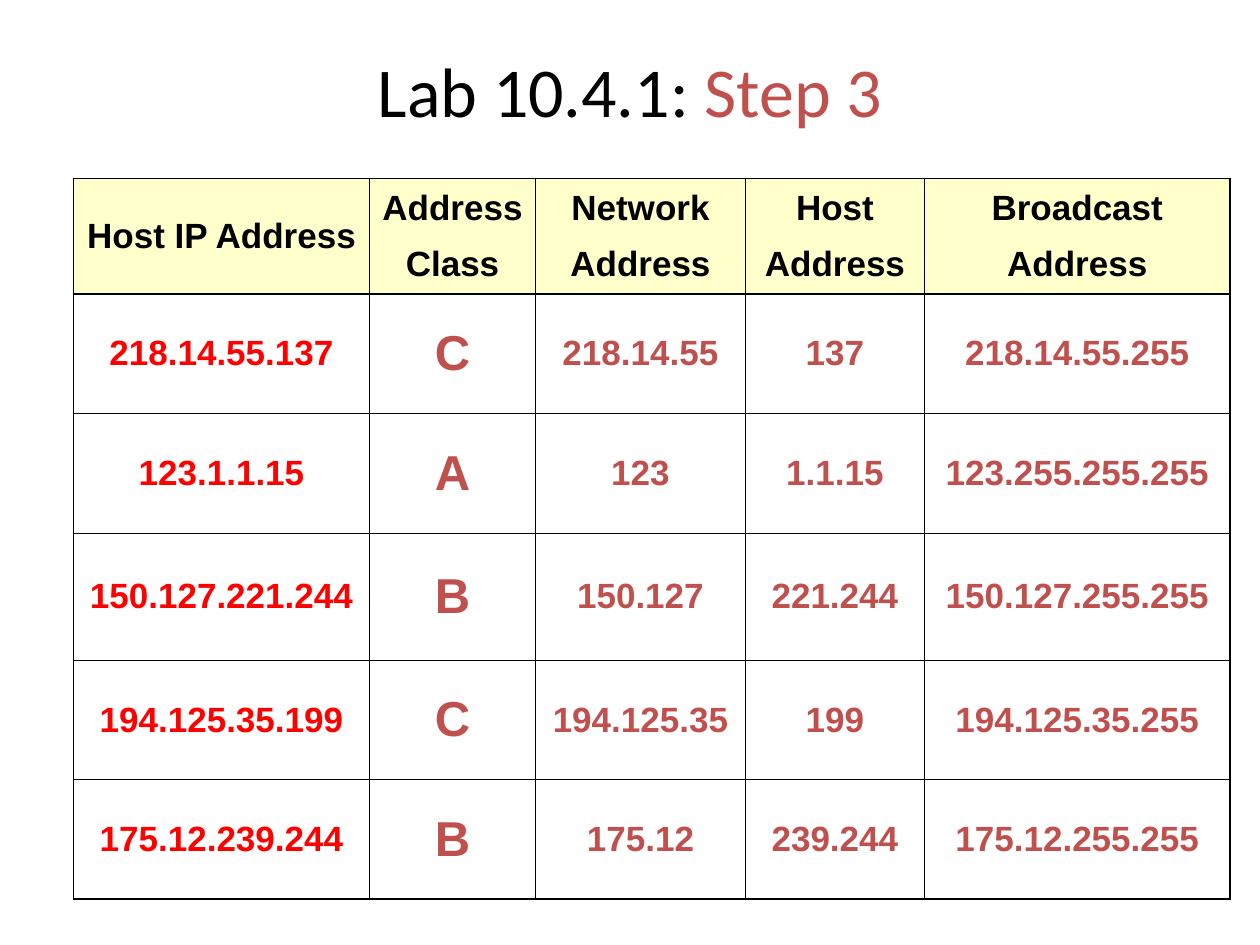
from dataclasses import dataclass

from lxml import etree
from pptx import Presentation
from pptx import util as u
from pptx.dml.color import RGBColor
from pptx.enum import text
from pptx.oxml import ns


@dataclass(frozen=True)
class Theme:
    black: str = "000000"
    white: str = "FFFFFF"
    header: str = "FFFFCC"
    given: str = "FF0000"
    answer: str = "C0504D"
    title_size: int = 40
    body_size: int = 20
    class_size: int = 28
    thin: float = 0.45
    thick: float = 1.08


theme = Theme()


def style_run(run, font_name, size, color, bold):
    run.font.name = font_name
    run.font.size = u.Pt(size)
    run.font.bold = bold
    run.font.color.rgb = RGBColor.from_string(color)


def add_border(cell, side, width):
    """Draw one cell edge; side is L, R, T or B, added in that order before the fill."""
    properties = cell._tc.get_or_add_tcPr()
    line = etree.SubElement(properties, ns.qn(f"a:ln{side}"), w=str(u.Pt(width)))
    fill = etree.SubElement(line, ns.qn("a:solidFill"))
    etree.SubElement(fill, ns.qn("a:srgbClr"), val=theme.black)


presentation = Presentation()
presentation.slide_width, presentation.slide_height = u.Pt(720), u.Pt(540)
slide = presentation.slides.add_slide(presentation.slide_layouts[5])

title = slide.shapes.title
title.left, title.top, title.width, title.height = u.Pt(0), u.Pt(24), u.Pt(720), u.Pt(54)
title.text_frame.vertical_anchor = text.MSO_ANCHOR.MIDDLE
paragraph = title.text_frame.paragraphs[0]
paragraph.alignment = text.PP_ALIGN.CENTER
for words, color in (("Lab 10.4.1: ", theme.black), ("Step 3", theme.answer)):
    run = paragraph.add_run()
    run.text = words
    style_run(run, "Calibri", theme.title_size, color, False)

rows = [
    ["Host IP Address", "Address\nClass", "Network\nAddress", "Host\nAddress", "Broadcast\nAddress"],
    ["218.14.55.137", "C", "218.14.55", "137", "218.14.55.255"],
    ["123.1.1.15", "A", "123", "1.1.15", "123.255.255.255"],
    ["150.127.221.244", "B", "150.127", "221.244", "150.127.255.255"],
    ["194.125.35.199", "C", "194.125.35", "199", "194.125.35.255"],
    ["175.12.239.244", "B", "175.12", "239.244", "175.12.255.255"],
]
column_widths = [169.2, 94.8, 120, 102.3, 174.7]
row_heights = [66, 68.3, 68.3, 72.7, 68.3, 68.3]
last_row, last_column = len(rows) - 1, len(column_widths) - 1

table = slide.shapes.add_table(
    len(rows), len(column_widths), u.Pt(42), u.Pt(102),
    u.Pt(sum(column_widths)), u.Pt(sum(row_heights)),
).table
for column, width in zip(table.columns, column_widths):
    column.width = u.Pt(width)
for row, height in zip(table.rows, row_heights):
    row.height = u.Pt(height)

for row_index, row in enumerate(rows):
    is_header = row_index == 0
    for column_index, value in enumerate(row):
        cell = table.cell(row_index, column_index)
        is_class = column_index == 1 and not is_header
        size = theme.class_size if is_class else theme.body_size
        color = theme.black if is_header else theme.given if column_index == 0 else theme.answer

        thick_sides = {
            "L": column_index == 0,
            "R": column_index == last_column,
            "T": row_index <= 1,
            "B": row_index in (0, last_row),
        }
        for side, is_thick in thick_sides.items():
            add_border(cell, side, theme.thick if is_thick else theme.thin)
        cell.fill.solid()
        cell.fill.fore_color.rgb = RGBColor.from_string(theme.header if is_header else theme.white)

        cell.vertical_anchor = text.MSO_ANCHOR.MIDDLE
        cell.text_frame.text = value
        for paragraph in cell.text_frame.paragraphs:
            paragraph.alignment = text.PP_ALIGN.CENTER
            paragraph.space_before = u.Pt(size / 2)
            style_run(paragraph.runs[0], "Arial", size, color, True)

presentation.save("out.pptx")
